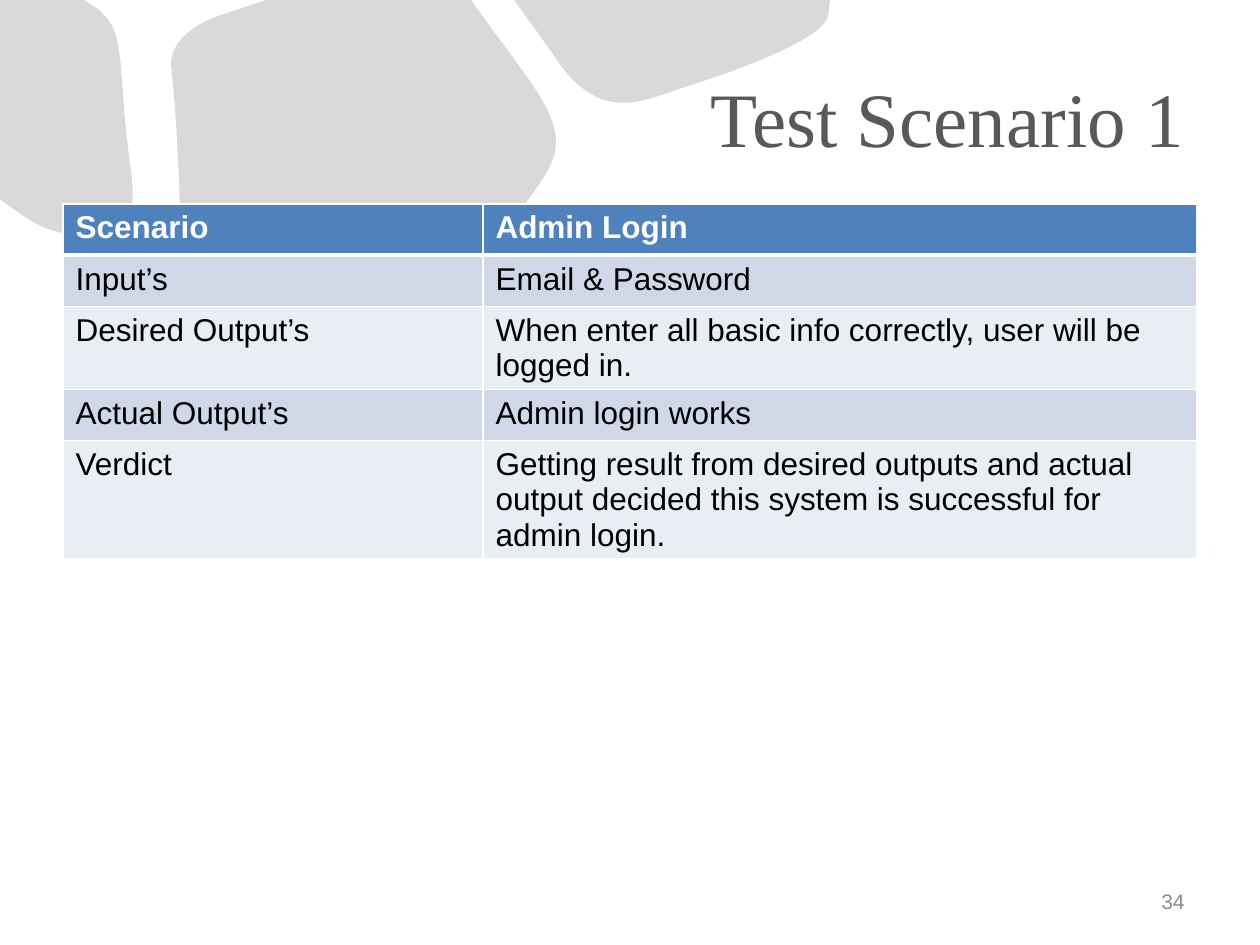
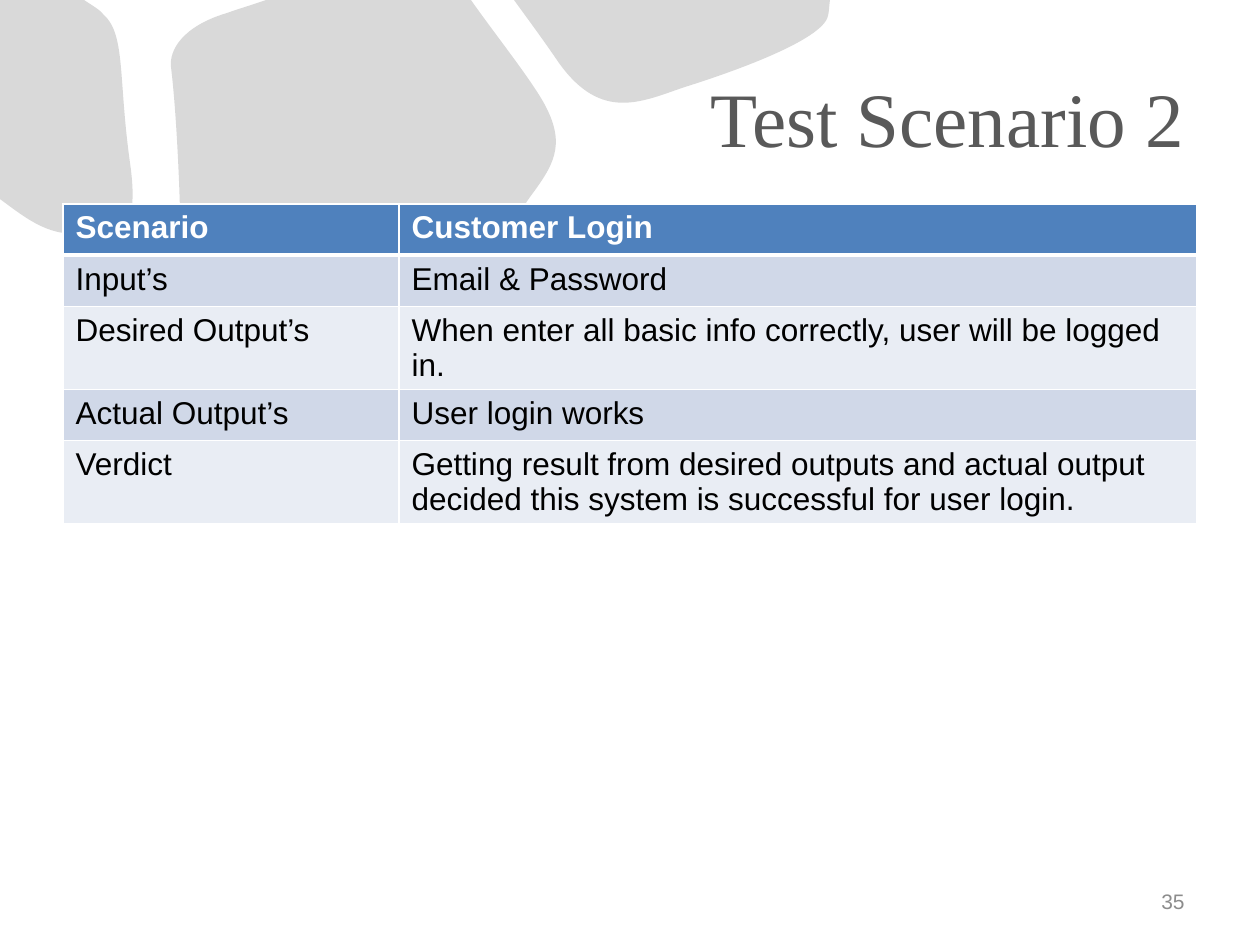
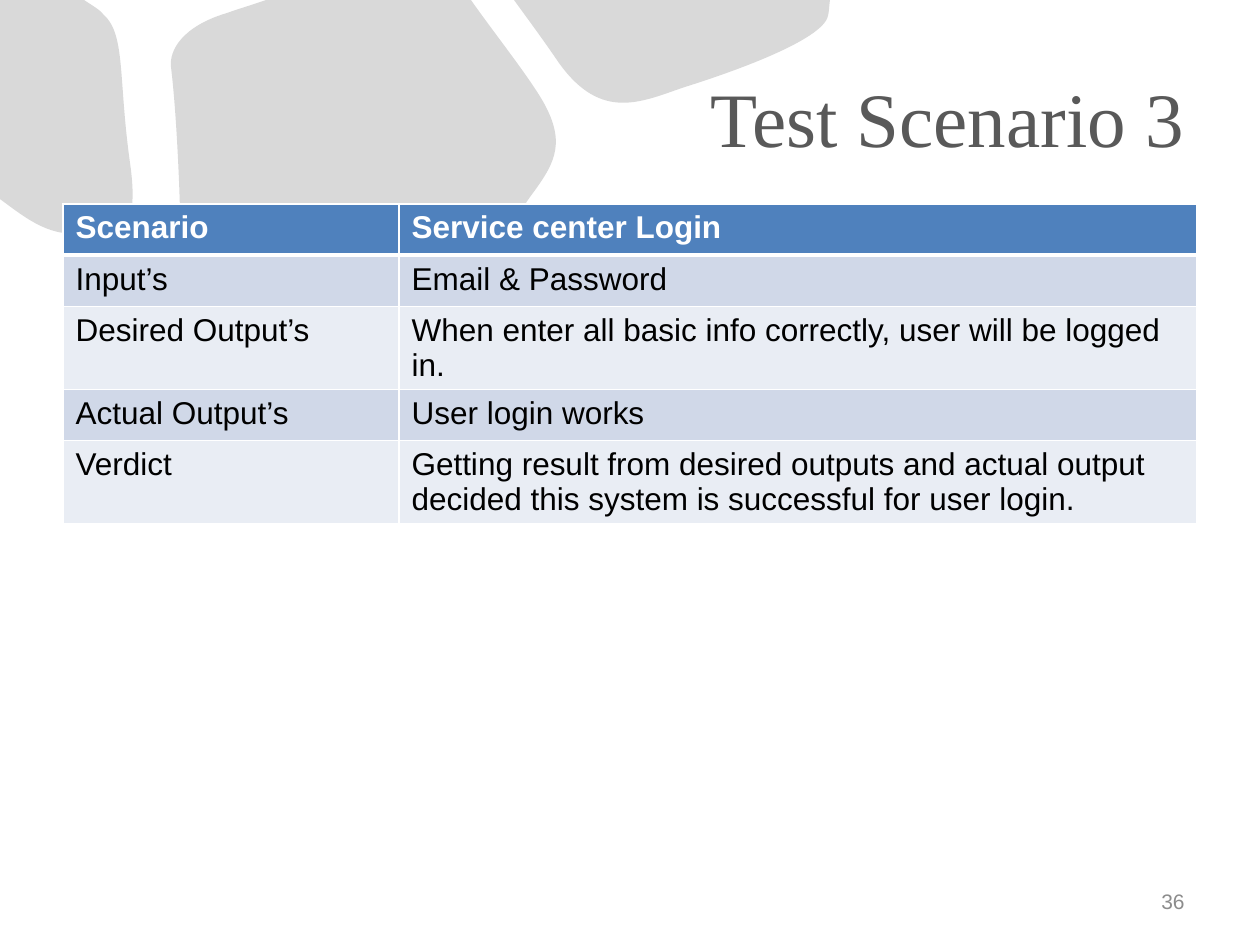
from dataclasses import dataclass

from lxml.etree import SubElement
from pptx import Presentation
from pptx.dml.color import RGBColor
from pptx.enum.text import MSO_ANCHOR, PP_ALIGN
from pptx.oxml.ns import qn
from pptx.util import Pt

EMU_PER_PX = 914400 / 126
SLIDE_SIZE = (1260, 945)
TITLE_ONLY = 5
FIRST_PAGE = 34

# Regions: left, top, width, height
TITLE_BOX = (63, 38, 1134, 157)
TABLE_BOX = (63, 204, 1134, 256)
PAGE_BOX = (903, 876, 294, 50)


@dataclass(frozen=True)
class Theme:
    title_font: str = "Times New Roman"
    body_font: str = "Arial"
    title_size: int = 44
    table_size: int = 18
    page_size: int = 12
    title: str = "595959"
    page: str = "8C8C8C"
    stone: str = "D9D9D9"
    header: str = "4F81BD"
    header_text: str = "FFFFFF"
    body_text: str = "000000"
    bands: tuple = ("E9EDF4", "D0D8E8")
    border: str = "FFFFFF"
    border_width: int = 1
    header_rule: int = 3


THEME = Theme()

# Each stone is a start point, then lines (x, y) and
# curves (control, control, end)
STONES = [
    [(514, 0), (527, 18, 542, 38, 559, 63), (602, 123, 643, 101, 685, 87),
     (733, 72, 823, 40, 828, 16), (829, 13, 829, 8, 830, 0)],
    [(103, 14), (100, 10, 93, 6, 84, 0), (-3, 0), (-3, 197),
     (21, 214, 47, 238, 82, 233), (110, 229, 142, 248, 130, 163),
     (118, 78, 126, 34, 103, 14)],
    [(471, 0), (266, 0), (252, 5, 238, 9, 227, 13),
     (183, 26, 169, 50, 171, 67), (176, 108, 179, 173, 180, 209),
     (181, 241, 208, 253, 233, 266), (255, 277, 350, 320, 373, 330),
     (373, 330, 421, 359, 447, 320), (475, 280, 507, 230, 530, 197),
     (553, 166, 566, 146, 546, 107), (534, 83, 494, 33, 471, 0)],
]

LABELS = ["Scenario", "Input’s", "Desired Output’s", "Actual Output’s", "Verdict"]

# Scenario name, user in the actual output, user in the verdict, label column width
SCENARIOS = [
    ("Admin Login", "Admin", "admin", 420),
    ("Customer Login", "User", "user", 336),
    ("Service center Login", "User", "user", 336),
]


def px(length):
    return round(length * EMU_PER_PX)


def color(value):
    return RGBColor.from_string(value)


def style(paragraph, font_name, size, text_color, bold=False, align=None):
    font = paragraph.font
    font.name, font.size, font.bold = font_name, Pt(size), bold
    font.color.rgb = color(text_color)
    paragraph.alignment = align


def bend_curves(stone, steps):
    """Join the three segments that stand for each curve into one Bézier."""
    segments = iter(list(stone.element.iter(qn("a:lnTo"))))
    for step in steps:
        first = next(segments)
        if len(step) == 6:
            curve = first.makeelement(qn("a:cubicBezTo"))
            first.addprevious(curve)
            for segment in (first, next(segments), next(segments)):
                curve.append(segment[0])
                segment.getparent().remove(segment)


def add_stones(slide):
    """Draw the stones and hand them to the layout, behind its placeholders."""
    layout_tree = slide.slide_layout.shapes.element
    for order, (start, *steps) in enumerate(STONES):
        points = [step[i:i + 2] for step in steps for i in range(0, len(step), 2)]
        builder = slide.shapes.build_freeform(*start, scale=EMU_PER_PX)
        builder.add_line_segments(points, close=True)
        stone = builder.convert_to_shape()
        bend_curves(stone, steps)
        stone.shadow.inherit = False
        stone.fill.solid()
        stone.fill.fore_color.rgb = color(THEME.stone)
        stone.line.fill.background()
        stone.element.nvSpPr.cNvPr.id = 101 + order
        layout_tree.insert(2 + order, stone.element)


def add_title(slide, box, text):
    title = slide.shapes.title
    title.left, title.top, title.width, title.height = map(px, box)
    title.text_frame.text = text
    title.text_frame.vertical_anchor = MSO_ANCHOR.MIDDLE
    style(title.text_frame.paragraphs[0], THEME.title_font, THEME.title_size,
          THEME.title, align=PP_ALIGN.RIGHT)


def add_page_number(slide, box, number):
    frame = slide.shapes.add_textbox(*map(px, box)).text_frame
    frame.word_wrap = True
    frame.vertical_anchor = MSO_ANCHOR.MIDDLE
    frame.text = str(number)
    style(frame.paragraphs[0], THEME.body_font, THEME.page_size,
          THEME.page, align=PP_ALIGN.RIGHT)


def set_header_borders(cell):
    properties = cell._tc.get_or_add_tcPr()
    for side in ("lnL", "lnR", "lnT", "lnB"):
        width = THEME.header_rule if side == "lnB" else THEME.border_width
        line = SubElement(properties, qn(f"a:{side}"), w=str(Pt(width)))
        fill = SubElement(line, qn("a:solidFill"))
        SubElement(fill, qn("a:srgbClr"), val=THEME.border)


def add_scenario_table(slide, box, values, label_width):
    width, height = box[2:]
    table = slide.shapes.add_table(len(LABELS), 2, *map(px, box)).table
    table.columns[0].width = px(label_width)
    table.columns[1].width = px(width - label_width)
    for row, texts in enumerate(zip(LABELS, values)):
        table.rows[row].height = px(height / len(LABELS))
        is_header = row == 0
        for column, text in enumerate(texts):
            cell = table.cell(row, column)
            cell.text = text
            if is_header:
                set_header_borders(cell)
            cell.fill.solid()
            cell.fill.fore_color.rgb = color(
                THEME.header if is_header else THEME.bands[row % 2])
            style(cell.text_frame.paragraphs[0], THEME.body_font, THEME.table_size,
                  THEME.header_text if is_header else THEME.body_text, is_header)


def add_scenario_slide(deck, index, name, actor, verdict_user, label_width):
    slide = deck.slides.add_slide(deck.slide_layouts[TITLE_ONLY])
    if index == 0:
        add_stones(slide)
    values = [
        name,
        "Email & Password",
        "When enter all basic info correctly, user will be logged in.",
        f"{actor} login works",
        "Getting result from desired outputs and actual output decided "
        f"this system is successful for {verdict_user} login.",
    ]
    add_scenario_table(slide, TABLE_BOX, values, label_width)
    add_title(slide, TITLE_BOX, f"Test Scenario {index + 1}")
    add_page_number(slide, PAGE_BOX, FIRST_PAGE + index)


def main():
    deck = Presentation()
    deck.slide_width, deck.slide_height = map(px, SLIDE_SIZE)
    for index, scenario in enumerate(SCENARIOS):
        add_scenario_slide(deck, index, *scenario)
    deck.save("out.pptx")


if __name__ == "__main__":
    main()
